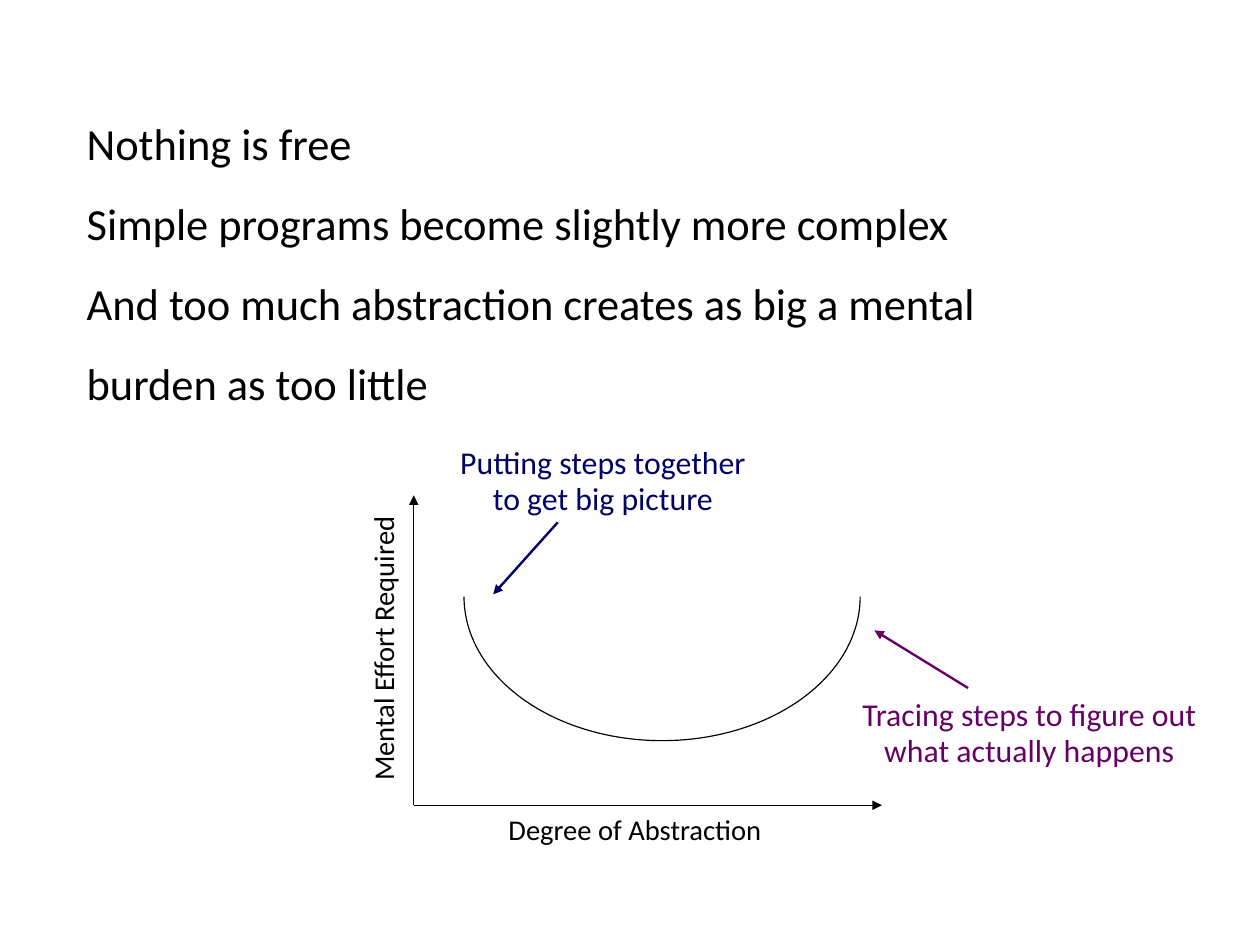
from dataclasses import dataclass

from lxml.etree import SubElement
from pptx import Presentation
from pptx.dml.color import RGBColor
from pptx.enum.shapes import MSO_CONNECTOR, MSO_SHAPE
from pptx.enum.text import MSO_AUTO_SIZE, PP_ALIGN
from pptx.oxml.ns import qn
from pptx.util import Cm, Inches, Pt


@dataclass(frozen=True)
class Theme:
    font: str = "Calibri"
    ink: RGBColor = RGBColor(0, 0, 0)
    navy: RGBColor = RGBColor(0, 0, 0x66)
    purple: RGBColor = RGBColor(0x66, 0, 0x66)
    body: int = 28
    callout: int = 20
    label: int = 18
    thin: float = 0.75
    thick: float = 1.5
    body_spacing: float = 1.5
    label_spacing: float = 0.93


THEME = Theme()
CELL = Inches(0.1)


def cells(*counts):
    return [round(count * CELL) for count in counts]


def add_text(page, lines, area, size, color, spacing, align=PP_ALIGN.LEFT, wrap=False):
    box = page.shapes.add_textbox(*cells(*area))
    frame = box.text_frame
    frame.word_wrap = wrap
    frame.auto_size = MSO_AUTO_SIZE.SHAPE_TO_FIT_TEXT
    frame.text = "\n".join(lines)
    for para in frame.paragraphs:
        para.alignment = align
        para.line_spacing = spacing
        para.font.name = THEME.font
        para.font.size = Pt(size)
        para.font.color.rgb = color
    return box


def add_label(page, text, area, rotation=0):
    box = add_text(page, [text], area, THEME.label, THEME.ink, THEME.label_spacing)
    box.rotation = rotation


def add_arrow(page, start, end, color, width):
    arrow = page.shapes.add_connector(MSO_CONNECTOR.STRAIGHT, *cells(*start, *end))
    arrow.line.color.rgb = color
    arrow.line.width = Pt(width)
    SubElement(arrow.line._get_or_add_ln(), qn("a:tailEnd"), type="triangle")
    SubElement(arrow._element.spPr, qn("a:effectLst"))


def add_callout(page, lines, area, start, end, color):
    add_text(page, lines, area, THEME.callout, color, THEME.label_spacing, PP_ALIGN.CENTER)
    add_arrow(page, start, end, color, THEME.thick)


def add_axes(page, origin, width, height):
    left, bottom = origin
    for tip in ((left + width, bottom), (left, bottom - height)):
        add_arrow(page, origin, tip, THEME.ink, THEME.thin)


def add_valley(page, center, radius_x, radius_y):
    x, y = center
    area = cells(x - radius_x, y - radius_y, 2 * radius_x, 2 * radius_y)
    curve = page.shapes.add_shape(MSO_SHAPE.ARC, *area)
    curve.adjustments[0] = 0
    curve.adjustments[1] = 108
    curve.shadow.inherit = False
    curve.fill.background()
    curve.line.color.rgb = THEME.ink
    curve.line.width = Pt(THEME.thin)


def main():
    deck = Presentation()
    deck.slide_width = Cm(28)
    deck.slide_height = Cm(21)
    deck.element.sldSz.attrib.pop("type", None)
    page = deck.slides.add_slide(deck.slide_layouts[6])

    statements = [
        "Nothing is free",
        "Simple programs become slightly more complex",
        "And too much abstraction creates as big a mental",
        "burden as too little",
    ]
    add_text(page, statements, (6.6, 7.3, 94.5, 29), THEME.body, THEME.ink,
             THEME.body_spacing, wrap=True)

    add_axes(page, (36.2, 70.45), 40.95, 27.1)
    add_label(page, "Degree of Abstraction", (43.5, 70.85, 24.2, 3.8))
    add_label(page, "Mental Effort Required", (20.7, 54.45, 25.9, 3.8), 270)
    add_valley(page, (57.93, 52.2), 17.33, 12.6)

    add_callout(page, ["Putting steps together", "to get big picture"],
                (39.2, 38.55, 27.1, 7.2), (48.8, 45.7), (43.15, 52), THEME.navy)
    add_callout(page, ["Tracing steps to figure out", "what actually happens"],
                (74.25, 60.6, 31.6, 7.2), (84.7, 60.2), (76.5, 55.15), THEME.purple)

    deck.save("out.pptx")


if __name__ == "__main__":
    main()
